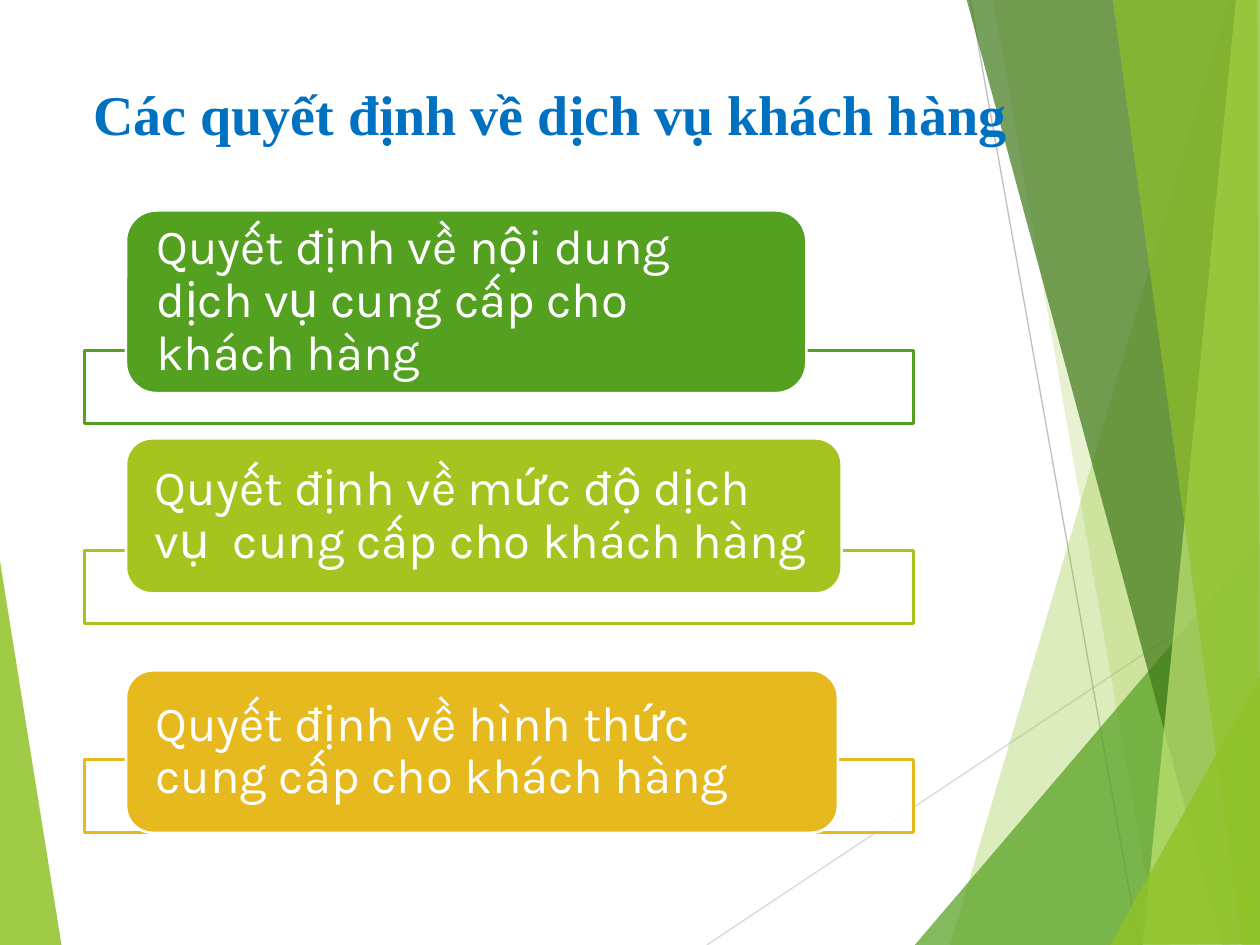
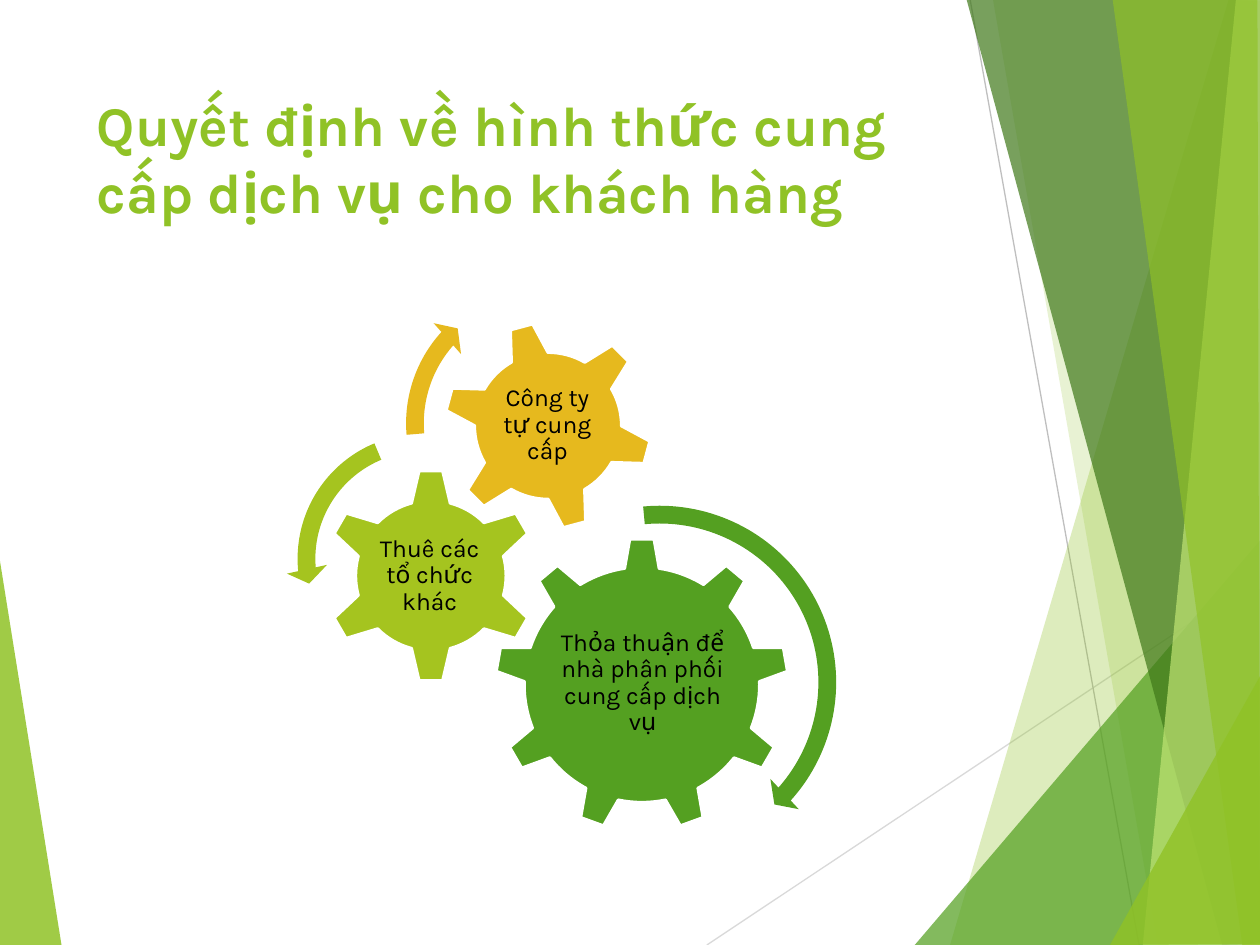
from dataclasses import dataclass
from typing import Any

from lxml.etree import SubElement
from pptx import Presentation
from pptx.dml.color import RGBColor
from pptx.enum.shapes import MSO_CONNECTOR as Connector, MSO_SHAPE as Preset
from pptx.enum.text import MSO_ANCHOR as Anchor, PP_ALIGN as Align
from pptx.oxml.ns import qn
from pptx.util import Emu, Pt

# Shared scale, colours and fonts
PX = 9144  # 100 px to the inch
WHITE, BLACK, BLUE = "FFFFFF", "000000", "0070C0"
LIME, GREEN, DARK_GREEN, PALE_LIME = "90C226", "54A021", "3F7819", "C0E474"
OLIVE, GOLD = "A5C41F", "E6B91E"
KARLA, TIMES = "Karla", "Times New Roman"

Point = tuple[int, int]
Box = tuple[int, int, int, int]


@dataclass
class Facet:
    color: str
    alpha: int
    points: list[Point]


@dataclass
class Ray:
    start: Point
    end: Point
    color: str


@dataclass
class TextStyle:
    size: int
    color: str
    font: str = KARLA
    bold: bool = False
    align: Align = Align.LEFT
    anchor: Anchor = Anchor.MIDDLE
    spacing: float = 0.9
    inset: Point = (0, 0)


@dataclass
class Decision:
    text: str
    color: str
    label_top: int
    label_width: int
    label_height: int
    frame_top: int


@dataclass
class Gear:
    text: str
    color: str
    preset: Preset
    box: Box
    text_box: Box
    rotation: int = 0


@dataclass
class TurnArrow:
    """Thickness and head in percent; head, end and start angles in degrees."""
    color: str
    preset: Preset
    left: int
    top: int
    side: int
    thickness: float
    head_angle: float
    end_angle: float
    start_angle: float
    head_width: float


RAYS = [
    Ray((561, 750), (1001, 457), "D9D9D9"),
    Ray((770, 0), (904, 750), "BFBFBF"),
]
LEFT_FACET = Facet(LIME, 85, [(-1, 439), (49, 751), (-1, 750)])
RIGHT_FACETS = [
    Facet(LIME, 30, [(975, 0), (754, 750), (1002, 751), (1001, 1)]),
    Facet(LIME, 20, [(788, -1), (919, 750), (1001, 750), (1001, -1)]),
    Facet(GREEN, 72, [(726, 750), (1000, 429), (1001, 750)]),
    Facet(DARK_GREEN, 70, [(767, -1), (970, 750), (1001, 749), (1001, -1)]),
    Facet(PALE_LIME, 70, [(981, -1), (907, 750), (1001, 750), (1000, -1)]),
    Facet(LIME, 65, [(883, -1), (986, 750), (1000, 750), (998, -1)]),
    Facet(LIME, 80, [(881, 750), (1001, 535), (1001, 749)]),
]

TITLE = {"size": 32, "bold": True, "anchor": Anchor.TOP, "spacing": 1.0, "inset": (10, 5)}
DECISION_STYLE = TextStyle(28, WHITE, inset=(17, 0))
GEAR_STYLE = TextStyle(14, BLACK, align=Align.CENTER, inset=(2, 2))

DECISIONS = [
    Decision("Quyết định về nội dung dịch vụ cung cấp cho khách hàng",
             GREEN, 167, 540, 145, 278),
    Decision("Quyết định về mức độ dịch vụ  cung cấp cho khách hàng",
             OLIVE, 348, 568, 123, 437),
    Decision("Quyết định về hình thức cung cấp cho khách hàng",
             GOLD, 532, 565, 129, 603),
]
GEARS = [
    Gear("Thỏa thuận để nhà phân phối cung cấp dịch vụ", GREEN, Preset.GEAR_9,
         (393, 427, 233, 233), (440, 482, 140, 120)),
    Gear("Thuê các tổ chức khác", OLIVE, Preset.GEAR_6,
         (257, 372, 170, 170), (299, 415, 84, 84)),
    Gear("Công ty tự cung cấp", GOLD, Preset.GEAR_6,
         (352, 255, 166, 166), (388, 291, 93, 93), 345),
]
TURN_ARROWS = [
    TurnArrow(GREEN, Preset.CIRCULAR_ARROW, 374, 392, 299, 4.7, 4.98, 41.81, 264.64, 5.5),
    TurnArrow(OLIVE, Preset.LEFT_CIRCULAR_ARROW, 227, 335, 217, 6.5, 7.17, 174.82, 247.3, 7.5),
    TurnArrow(GOLD, Preset.CIRCULAR_ARROW, 313, 219, 234, 6, 6.57, 221.9, 175.14, 7),
]


# Drawing helpers
def px(value: int) -> Emu:
    return Emu(value * PX)


def set_attributes(target: Any, values: dict[str, Any]) -> None:
    for name, value in values.items():
        setattr(target, name, value)


def paint(color_format: Any, color: str) -> None:
    color_format.rgb = RGBColor.from_string(color)


def fill_shape(shape: Any, color: str, alpha: int = 100) -> None:
    shape.shadow.inherit = False
    shape.fill.solid()
    paint(shape.fill.fore_color, color)
    if alpha < 100:
        color_element = shape._element.spPr.find(f"{qn('a:solidFill')}/{qn('a:srgbClr')}")
        SubElement(color_element, qn("a:alpha")).set("val", str(alpha * 1000))


def outline(shape: Any, color: str | None, width: float = 1.5) -> None:
    if color is None:
        shape.line.fill.background()
        return
    paint(shape.line.color, color)
    shape.line.width = Pt(width)


def add_preset(slide: Any, preset: Preset, box: Box, color: str,
               line: str | None = None, alpha: int = 100) -> Any:
    shape = slide.shapes.add_shape(preset, *map(px, box))
    fill_shape(shape, color, alpha)
    outline(shape, line)
    return shape


def write_text(shape: Any, text: str, style: TextStyle) -> None:
    side, end = map(px, style.inset)
    frame = shape.text_frame
    set_attributes(frame, {
        "word_wrap": True, "vertical_anchor": style.anchor,
        "margin_left": side, "margin_right": side,
        "margin_top": end, "margin_bottom": end,
    })
    paragraph = frame.paragraphs[0]
    set_attributes(paragraph, {"alignment": style.align, "line_spacing": style.spacing})
    run = paragraph.add_run()
    run.text = text
    set_attributes(run.font, {"name": style.font, "size": Pt(style.size), "bold": style.bold})
    paint(run.font.color, style.color)


def add_text(slide: Any, box: Box, text: str, style: TextStyle) -> None:
    write_text(slide.shapes.add_textbox(*map(px, box)), text, style)


def add_facet(slide: Any, facet: Facet) -> None:
    builder = slide.shapes.build_freeform(*facet.points[0], scale=PX)
    builder.add_line_segments(facet.points[1:], close=True)
    shape = builder.convert_to_shape()
    fill_shape(shape, facet.color, facet.alpha)
    outline(shape, None)


def add_ray(slide: Any, ray: Ray) -> None:
    connector = slide.shapes.add_connector(
        Connector.STRAIGHT, *map(px, ray.start + ray.end))
    outline(connector, ray.color, 0.75)
    SubElement(connector._element.spPr, qn("a:effectLst"))


def add_base_slide(presentation: Any) -> Any:
    slide = presentation.slides.add_slide(presentation.slide_layouts[6])
    add_facet(slide, LEFT_FACET)
    for ray in RAYS:
        add_ray(slide, ray)
    for facet in RIGHT_FACETS:
        add_facet(slide, facet)
    return slide


def add_decision(slide: Any, decision: Decision) -> None:
    add_preset(slide, Preset.RECTANGLE, (67, decision.frame_top, 658, 58),
               WHITE, decision.color, alpha=90)
    label_box = (100, decision.label_top, decision.label_width, decision.label_height)
    label = add_preset(slide, Preset.ROUNDED_RECTANGLE, label_box, decision.color, WHITE)
    write_text(label, decision.text, DECISION_STYLE)


def add_gear(slide: Any, gear: Gear) -> None:
    shape = add_preset(slide, gear.preset, gear.box, gear.color, WHITE)
    shape.rotation = gear.rotation
    add_text(slide, gear.text_box, gear.text, GEAR_STYLE)


def add_turn_arrow(slide: Any, arrow: TurnArrow) -> None:
    shape = add_preset(slide, arrow.preset,
                       (arrow.left, arrow.top, arrow.side, arrow.side), arrow.color)
    angles = [angle * 0.6 for angle in (arrow.head_angle, arrow.end_angle, arrow.start_angle)]
    values = [arrow.thickness / 100, *angles, arrow.head_width / 100]
    for index, value in enumerate(values):
        shape.adjustments[index] = value


# Slides
def build_decisions_slide(presentation: Any) -> None:
    slide = add_base_slide(presentation)
    add_text(slide, (64, 58, 786, 108), "Các quyết định về dịch vụ khách hàng",
             TextStyle(color=BLUE, font=TIMES, **TITLE))
    for decision in DECISIONS:
        add_decision(slide, decision)


def build_gears_slide(presentation: Any) -> None:
    slide = add_base_slide(presentation)
    add_text(slide, (67, 67, 694, 144),
             "Quyết định về hình thức cung cấp dịch vụ cho khách hàng",
             TextStyle(color=LIME, **TITLE))
    for gear in GEARS:
        add_gear(slide, gear)
    for arrow in TURN_ARROWS:
        add_turn_arrow(slide, arrow)


def main() -> None:
    presentation = Presentation()
    set_attributes(presentation, {"slide_width": px(1000), "slide_height": px(750)})
    build_decisions_slide(presentation)
    build_gears_slide(presentation)
    presentation.save("out.pptx")


if __name__ == "__main__":
    main()
